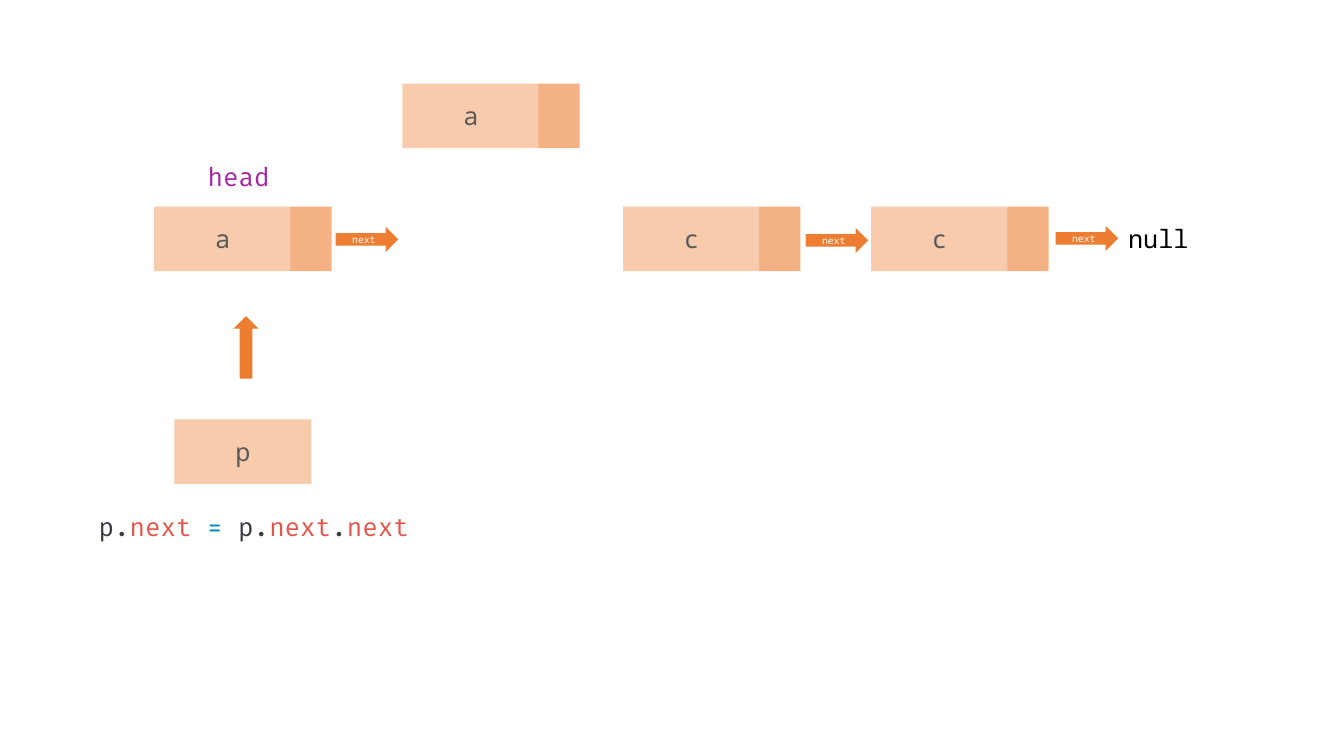
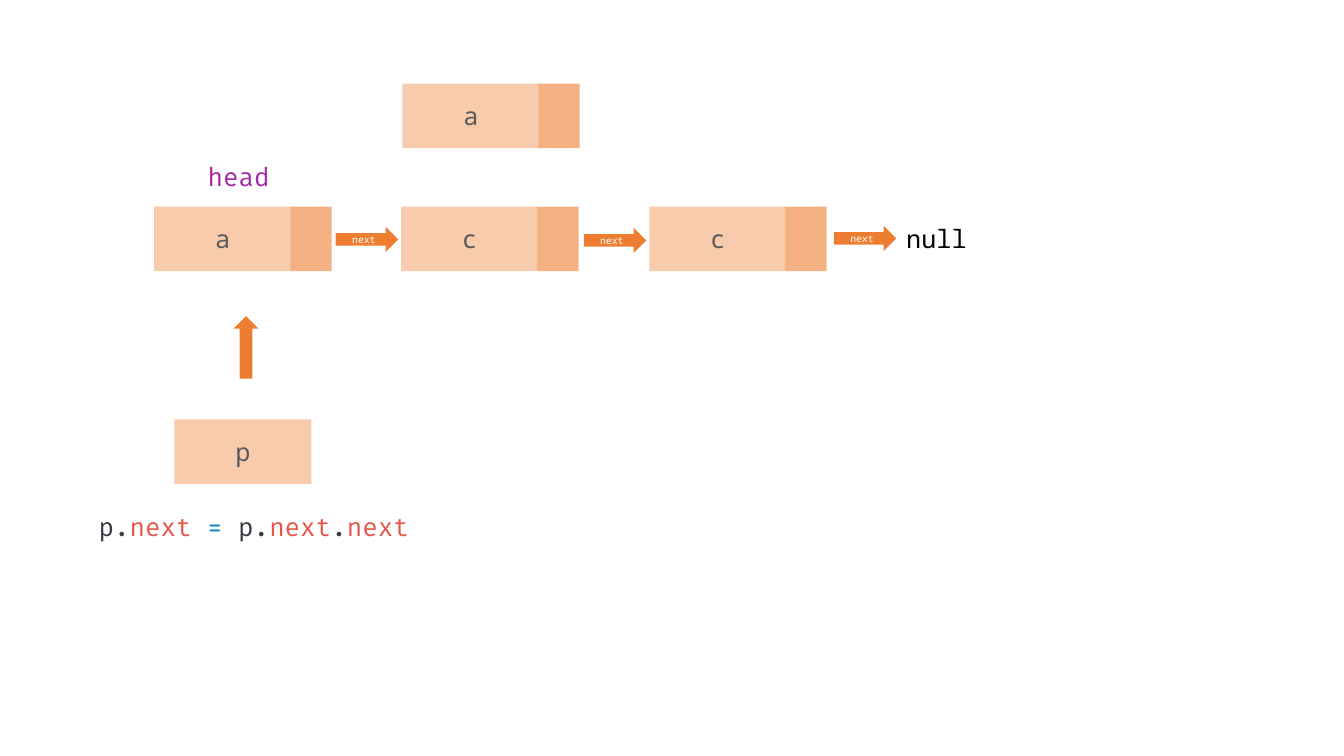
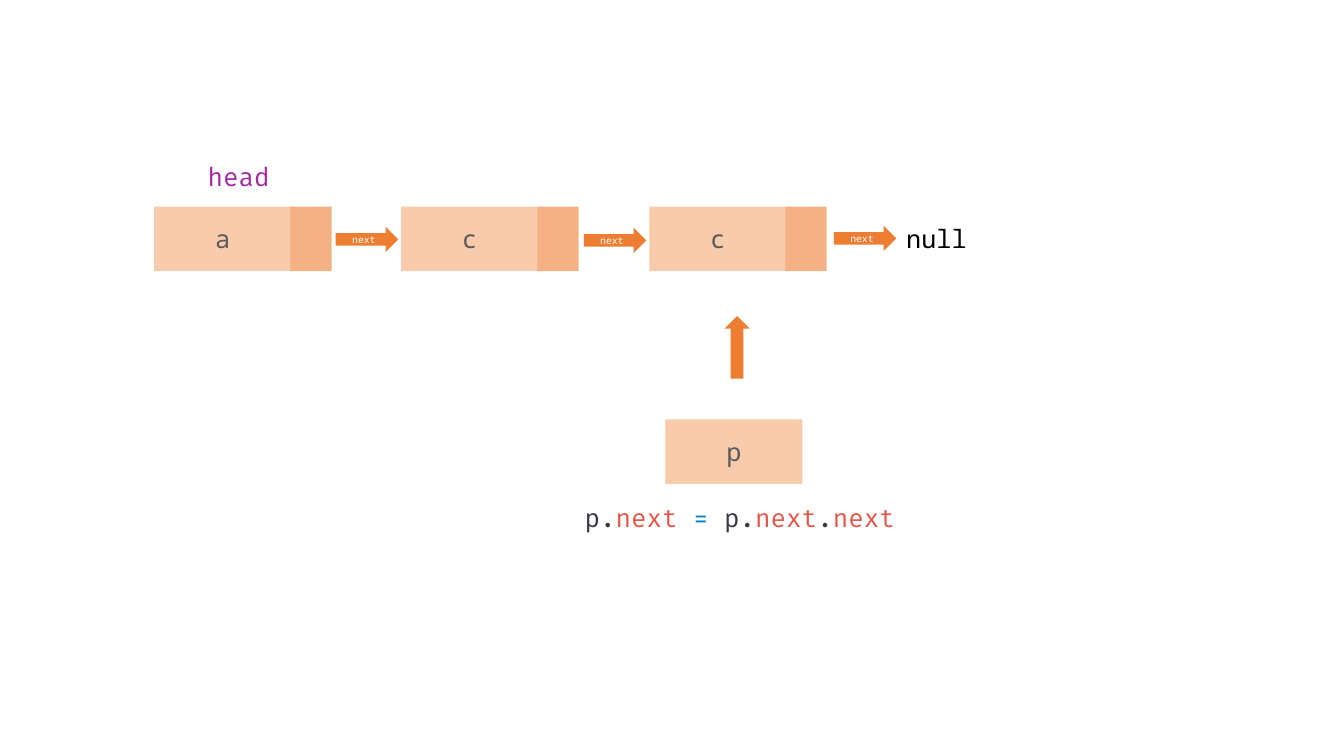
from dataclasses import dataclass
from typing import Any, Optional

from pptx import Presentation
from pptx import util as u
from pptx.dml.color import RGBColor
from pptx.enum import shapes, text

PEACH = RGBColor(0xF8, 0xCB, 0xAD)
APRICOT = RGBColor(0xF4, 0xB1, 0x83)
ORANGE = RGBColor(0xED, 0x7D, 0x31)
GRAY = RGBColor(0x59, 0x59, 0x59)
WHITE = RGBColor(0xFF, 0xFF, 0xFF)
BLACK = RGBColor(0x00, 0x00, 0x00)
PURPLE = RGBColor(0xA6, 0x26, 0xA4)
INK = RGBColor(0x38, 0x3A, 0x42)
RED = RGBColor(0xE4, 0x56, 0x49)
BLUE = RGBColor(0x01, 0x84, 0xBC)

MONO = "Noto Sans Mono"
CODE = "Fira Code"

DATA_WIDTH = 1.36
LINK_WIDTH = 0.41
LINK_OFFSET = 1.35
NODE_HEIGHT = 0.64
ARROW_WIDTH = 0.62
ARROW_HEIGHT = 0.25
LABEL_HEIGHT = 0.4

FIRST_LEFT = 1.53
CHAIN_TOP = 2.05
PITCH = 2.46
NULL_OFFSET = 2.45
ARROW_OFFSETS = ((1.8, 0.2), (1.81, 0.21), (1.83, 0.19))
POINTER_TOP = 4.16
POINTER_ARROW_TOP = 3.32

SHAPE_FRAME = {"word_wrap": True, "vertical_anchor": text.MSO_ANCHOR.MIDDLE}
LABEL_FRAME = {"word_wrap": True, "auto_size": text.MSO_AUTO_SIZE.SHAPE_TO_FIT_TEXT}


@dataclass(frozen=True)
class Span:
    words: str
    color: RGBColor
    font: str = MONO
    size: int = 18


@dataclass(frozen=True)
class Step:
    rest_left: float
    pointer_left: float
    code_left: float
    code_top: float
    code_width: float
    has_detached: bool


STATEMENT = [
    Span(words, color, CODE)
    for words, color in (
        ("p.", INK), ("next ", RED), ("=", BLUE), (" p.", INK),
        ("next", RED), (".", INK), ("next", RED),
    )
]

STEPS = (
    Step(6.18, 1.73, 0.88, 5.02, 3.36, True),
    Step(3.98, 1.73, 0.88, 5.02, 3.36, True),
    Step(3.98, 6.6, 5.7, 4.93, 3.33, False),
)


def apply_format(target: Any, values: dict[str, Any]) -> None:
    for name, value in values.items():
        setattr(target, name, value)


def write(box: Any, spans: list[Span], frame_format: dict[str, Any],
          align: text.PP_ALIGN) -> None:
    apply_format(box.text_frame, frame_format)
    para = box.text_frame.paragraphs[0]
    para.alignment = align
    for span in spans:
        run = para.add_run()
        run.text = span.words
        apply_format(run.font, {"name": span.font, "size": u.Pt(span.size)})
        run.font.color.rgb = span.color


def add_block(parent: Any, kind: shapes.MSO_SHAPE, left: float, top: float,
              width: float, height: float, fill: RGBColor,
              span: Optional[Span] = None) -> Any:
    block = parent.shapes.add_shape(
        kind, u.Inches(left), u.Inches(top), u.Inches(width), u.Inches(height))
    block.shadow.inherit = False
    block.fill.solid()
    block.fill.fore_color.rgb = fill
    block.line.fill.background()
    if span:
        write(block, [span], SHAPE_FRAME, text.PP_ALIGN.CENTER)
    return block


def add_data(parent: Any, letter: str, left: float, top: float) -> None:
    add_block(parent, shapes.MSO_SHAPE.RECTANGLE, left, top, DATA_WIDTH,
              NODE_HEIGHT, PEACH, Span(letter, GRAY))


def add_node(page: Any, letter: str, left: float, top: float) -> None:
    node = page.shapes.add_group_shape()
    add_data(node, letter, left, top)
    add_block(node, shapes.MSO_SHAPE.RECTANGLE, left + LINK_OFFSET, top,
              LINK_WIDTH, NODE_HEIGHT, APRICOT)


def add_arrow(page: Any, left: float, top: float,
              span: Optional[Span] = None) -> Any:
    return add_block(page, shapes.MSO_SHAPE.RIGHT_ARROW, left, top,
                     ARROW_WIDTH, ARROW_HEIGHT, ORANGE, span)


def add_label(page: Any, spans: list[Span], left: float, top: float,
              width: float) -> None:
    box = page.shapes.add_textbox(
        u.Inches(left), u.Inches(top), u.Inches(width), u.Inches(LABEL_HEIGHT))
    write(box, spans, LABEL_FRAME, text.PP_ALIGN.LEFT)


def add_chain(page: Any, rest_left: float) -> None:
    lefts = (FIRST_LEFT, rest_left, rest_left + PITCH)
    for letter, left in zip("acc", lefts):
        add_node(page, letter, left, CHAIN_TOP)
    for left, (across, down) in zip(lefts, ARROW_OFFSETS):
        add_arrow(page, left + across, CHAIN_TOP + down, Span("next", WHITE, size=7))
    add_label(page, [Span("null", BLACK)], lefts[-1] + NULL_OFFSET, 2.17, 0.83)
    add_label(page, [Span("head", PURPLE, CODE)], 1.96, 1.55, 0.91)


def add_pointer(page: Any, left: float) -> None:
    add_data(page, "p", left, POINTER_TOP)
    add_arrow(page, left + 0.4, POINTER_ARROW_TOP).rotation = 270


def add_step(deck: Any, step: Step) -> None:
    page = deck.slides.add_slide(deck.slide_layouts[6])
    add_chain(page, step.rest_left)
    if step.has_detached:
        add_node(page, "a", 3.99, 0.83)
    add_pointer(page, step.pointer_left)
    add_label(page, STATEMENT, step.code_left, step.code_top, step.code_width)


def main() -> None:
    deck = Presentation()
    apply_format(deck, {"slide_width": u.Inches(13.33), "slide_height": u.Inches(7.5)})
    for step in STEPS:
        add_step(deck, step)
    deck.save("out.pptx")


if __name__ == "__main__":
    main()
